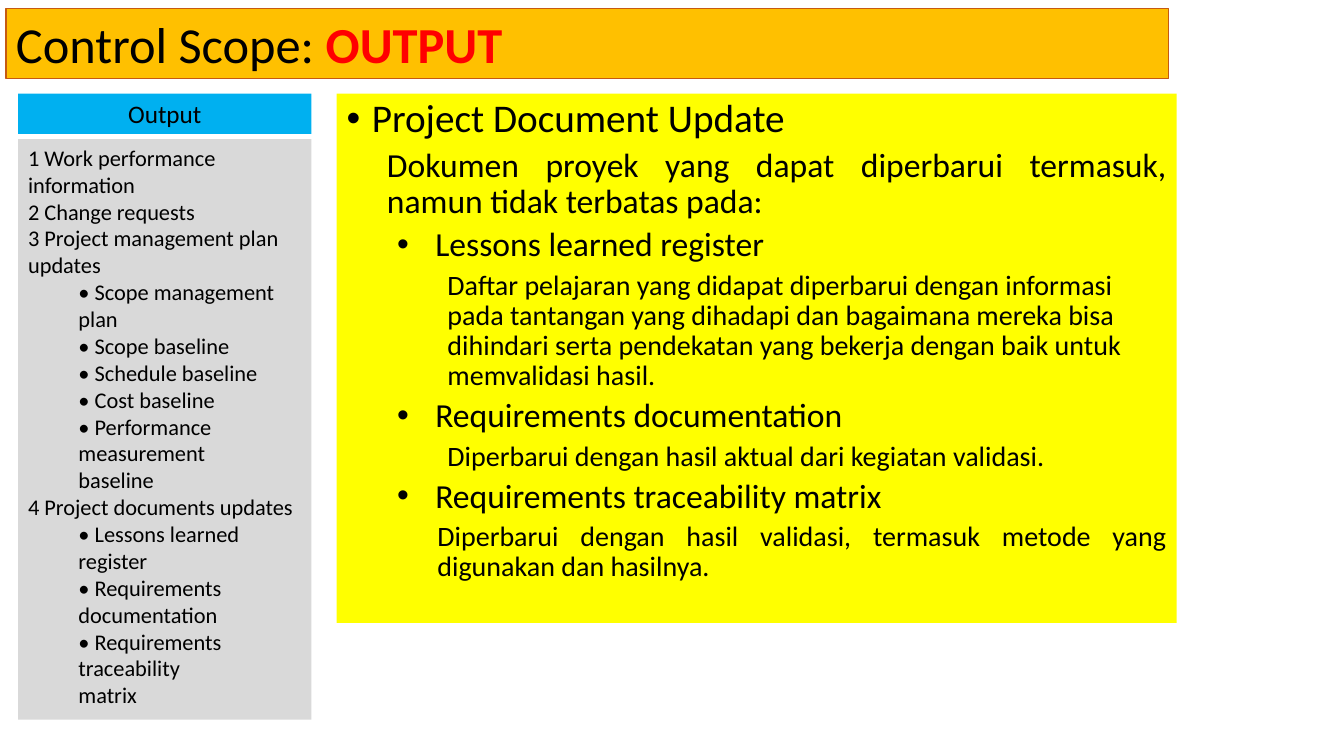
from dataclasses import dataclass, field
from lxml import etree
from pptx import Presentation, util as u
from pptx.dml import color
from pptx.enum import shapes, text
from pptx.oxml import ns

LEFT, MID, JUST = text.PP_ALIGN.LEFT, text.PP_ALIGN.CENTER, text.PP_ALIGN.JUSTIFY


@dataclass
class Run:
    text: str
    tint: str = "000000"
    bold: bool = False


@dataclass
class Para:
    runs: list[Run]
    size: int
    align: text.PP_ALIGN = LEFT
    level: int = 0
    margin: float = 0
    hang: float = 0
    form: dict = field(default_factory=dict)


@dataclass
class Panel:
    left: float
    top: float
    width: float
    height: float
    fill: str
    paras: list[Para]
    line: str = ""


def rgb(code: str) -> color.RGBColor:
    return color.RGBColor.from_string(code)


def apply(target: object, form: dict) -> None:
    for name, value in form.items():
        setattr(target, name, value)


def write(par, para: Para) -> None:
    props = par._p.get_or_add_pPr()
    props.set("marL", str(u.Inches(para.margin)))
    props.set("indent", str(u.Inches(-para.hang)))
    if para.hang:
        etree.SubElement(props, ns.qn("a:buFont")).set("typeface", "Arial")
        etree.SubElement(props, ns.qn("a:buChar")).set("char", "•")
    else:
        etree.SubElement(props, ns.qn("a:buNone"))
    apply(par, {"alignment": para.align, "level": para.level, **para.form})
    for item in para.runs:
        run = par.add_run()
        run.text = item.text
        apply(run.font, {"name": "Calibri", "size": u.Pt(para.size), "bold": item.bold})
        run.font.color.rgb = rgb(item.tint)


def draw(slide, panel: Panel) -> None:
    place = [u.Inches(n) for n in (panel.left, panel.top, panel.width, panel.height)]
    box = slide.shapes.add_shape(shapes.MSO_SHAPE.RECTANGLE, *place)
    box.shadow.inherit = False
    box.fill.solid()
    box.fill.fore_color.rgb = rgb(panel.fill)
    if panel.line:
        box.line.color.rgb = rgb(panel.line)
        box.line.width = u.Pt(0.75)
    else:
        box.line.fill.background()
    frame = box.text_frame
    apply(frame, {"word_wrap": True, "vertical_anchor": text.MSO_ANCHOR.TOP})
    for spot, para in enumerate(panel.paras):
        write(frame.add_paragraph() if spot else frame.paragraphs[0], para)


def body(words: str, size: int, margin: float, hang: float = 0,
         align: text.PP_ALIGN = LEFT, level: int = 1) -> Para:
    form = {"line_spacing": 0.9}
    if level:
        form["space_before"] = u.Pt(5)
    return Para([Run(words)], size, align, level, margin, hang, form)


def topic(words: str) -> Para:
    return body(words, 24, 0.88, 0.38)


def detail(words: str, margin: float = 1, align: text.PP_ALIGN = LEFT) -> Para:
    return body(words, 20, margin, align=align, level=2)


def items(level: int, *lines: str) -> list[Para]:
    return [Para([Run(line)], 16, level=level, margin=level * 0.5) for line in lines]


TITLE = [Para([Run("Control Scope: "), Run("OUTPUT", "FF0000", True)], 36)]

UPDATE = [
    body("Project Document Update", 28, 0.25, 0.25, JUST, 0),
    body("Dokumen proyek yang dapat diperbarui termasuk, namun tidak terbatas pada:",
         24, 0.4, align=JUST),
    topic("Lessons learned register"),
    detail("Daftar pelajaran yang didapat diperbarui dengan informasi pada tantangan "
           "yang dihadapi dan bagaimana mereka bisa dihindari serta pendekatan yang "
           "bekerja dengan baik untuk memvalidasi hasil."),
    topic("Requirements documentation"),
    detail("Diperbarui dengan hasil aktual dari kegiatan validasi."),
    topic("Requirements traceability matrix"),
    detail("Diperbarui dengan hasil validasi, termasuk metode yang digunakan dan hasilnya.",
           0.9, JUST),
]

OUTPUTS = [
    *items(0, "1 Work performance", "information", "2 Change requests",
           "3 Project management plan", "updates"),
    *items(1, "• Scope management plan", "• Scope baseline", "• Schedule baseline",
           "• Cost baseline", "• Performance measurement", "baseline"),
    *items(0, "4 Project documents updates"),
    *items(1, "• Lessons learned register", "• Requirements", "documentation",
           "• Requirements traceability", "matrix"),
]

PANELS = [
    Panel(0.06, 0.08, 11.53, 0.7, "FFC000", TITLE, "C55A11"),
    Panel(3.34, 0.93, 8.33, 5.25, "FFFF00", UPDATE),
    Panel(0.18, 0.93, 2.91, 0.4, "00B0F0", [Para([Run("Output")], 18, MID)]),
    Panel(0.18, 1.38, 2.91, 5.76, "D9D9D9", OUTPUTS),
]


def main() -> None:
    deck = Presentation()
    apply(deck, {"slide_width": u.Inches(13.33), "slide_height": u.Inches(7.5)})
    slide = deck.slides.add_slide(deck.slide_layouts[6])
    for panel in PANELS:
        draw(slide, panel)
    deck.save("out.pptx")


if __name__ == "__main__":
    main()
